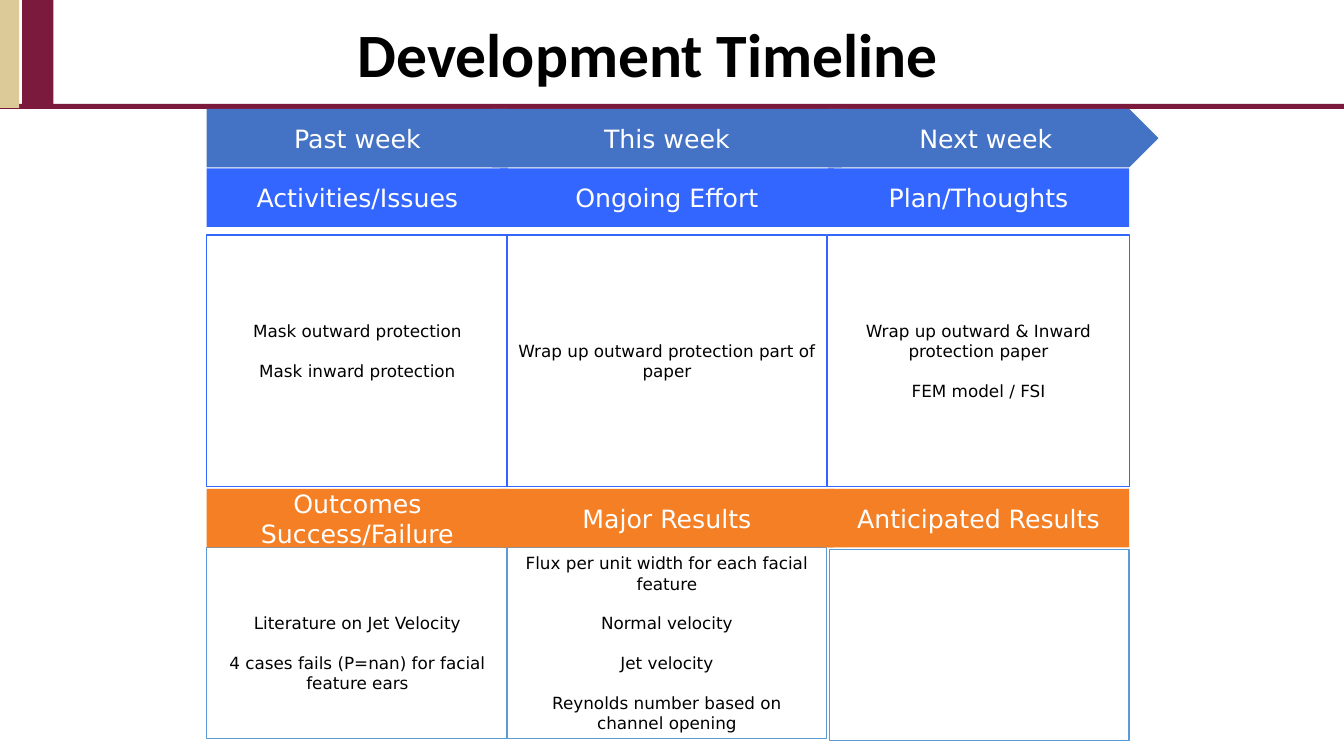
from pptx import Presentation
from pptx.dml.color import RGBColor
from pptx.enum.shapes import MSO_SHAPE as Preset
from pptx.enum.text import MSO_ANCHOR as Anchor, MSO_AUTO_SIZE as AutoSize, PP_ALIGN as Align
from pptx.util import Inches, Pt

BLACK = RGBColor(0x00, 0x00, 0x00)
WHITE = RGBColor(0xFF, 0xFF, 0xFF)
GARNET = RGBColor(0x7B, 0x1A, 0x3D)
GOLD = RGBColor(0xDC, 0xCA, 0x98)
STEEL = RGBColor(0x44, 0x72, 0xC4)
ROYAL = RGBColor(0x33, 0x66, 0xFF)
SKY = RGBColor(0x5B, 0x9B, 0xD5)
ORANGE = RGBColor(0xF4, 0x7F, 0x24)

COLUMNS = ((2.05, 2.99), (5.03, 3.17), (8.21, 2.99))
ROWS = {"week": (1.08, 0.58), "effort": (1.67, 0.58), "work": (2.33, 2.5),
        "outcome": (4.85, 0.58), "result": (5.43, 1.9)}
DRAW_ORDER = (2, 0, 1)
BLANK_LINE = 14

TITLE_FONT = {"name": "Calibri", "size": Pt(44), "bold": True}
HEADER_FONT = {"name": "DejaVu Sans", "size": Pt(18), "bold": False}
BODY_FONT = {"name": "DejaVu Sans", "size": Pt(12), "bold": False}


def set_formats(target, formats):
    """Set every attribute named in the format values."""
    for attribute, value in formats.items():
        setattr(target, attribute, value)


class TimelineSlide:
    """Holds the slide and the style of its timeline grid."""

    def __init__(self, deck):
        """Add a title-only slide to the deck."""
        self.slide = deck.slides.add_slide(deck.slide_layouts[5])

    def fill_text(self, shape, lines, font, color, gap=0, **frame_formats):
        """Fill a shape with centred paragraphs."""
        frame = shape.text_frame
        set_formats(frame, {"word_wrap": True, "auto_size": AutoSize.NONE,
                            "vertical_anchor": Anchor.MIDDLE, **frame_formats})
        for index, line in enumerate(lines):
            paragraph = frame.add_paragraph() if index else frame.paragraphs[0]
            paragraph.text = line
            paragraph.alignment = Align.CENTER
            if index and gap:
                paragraph.space_before = Pt(gap)
            set_formats(paragraph.font, font)
            paragraph.font.color.rgb = color

    def title(self, text, left, top, width, height):
        """Place and format the title placeholder."""
        heading = self.slide.shapes.title
        set_formats(heading, {"left": Inches(left), "top": Inches(top),
                              "width": Inches(width), "height": Inches(height)})
        self.fill_text(heading, [text], TITLE_FONT, BLACK)
        heading.text_frame.paragraphs[0].line_spacing = 0.9

    def block(self, left, top, width, height, fill, line=None, preset=Preset.RECTANGLE):
        """Draw a filled preset shape."""
        shape = self.slide.shapes.add_shape(
            preset, Inches(left), Inches(top), Inches(width), Inches(height))
        shape.shadow.inherit = False
        shape.fill.solid()
        shape.fill.fore_color.rgb = fill
        if line is None:
            shape.line.fill.background()
        else:
            shape.line.color.rgb = line
            shape.line.width = Pt(1)
        return shape

    def header_row(self, row, headings, fill, spread, arrow_tip=0):
        """Draw a band of headings whose middle one overlaps its neighbours."""
        top, height = ROWS[row]
        for column in DRAW_ORDER:
            left, width = COLUMNS[column]
            preset = Preset.RECTANGLE
            if column == 1:
                left, width = left - spread, width + 2 * spread
            elif column == 2 and arrow_tip:
                width, preset = width + arrow_tip, Preset.PENTAGON
            band = self.block(left, top, width, height, fill, preset=preset)
            self.fill_text(band, headings[column], HEADER_FONT, WHITE)

    def note_row(self, row, notes, line, last_shift=0):
        """Draw outlined boxes, each with its notes and text insets."""
        top, height = ROWS[row]
        for column, (texts, insets) in enumerate(notes):
            left, width = COLUMNS[column]
            shift = last_shift if column == 2 else 0
            box = self.block(left + shift, top + shift, width - shift, height, WHITE, line)
            if texts:
                self.fill_text(box, texts, BODY_FONT, BLACK, BLANK_LINE, **insets)


def main():
    """Build the development timeline."""
    deck = Presentation()
    set_formats(deck, {"slide_width": Inches(13.33), "slide_height": Inches(7.5)})
    timeline = TimelineSlide(deck)

    timeline.block(0, 1.03, 13.33, 0.05, GARNET)
    timeline.block(0, 0, 0.19, 1.07, GOLD)
    timeline.block(0.22, 0, 0.31, 1.07, GARNET)
    timeline.title("Development Timeline", 2.23, 0.23, 8.4, 0.69)

    timeline.header_row("week", (["Past week"], ["This week"], ["Next week"]),
                        STEEL, 0.15, arrow_tip=0.29)
    timeline.header_row("effort", (["Activities/Issues"], ["Ongoing Effort"],
                                   ["Plan/Thoughts"]), ROYAL, 0.07)
    timeline.note_row("work", (
        (["Mask outward protection", "Mask inward protection"],
         {"margin_bottom": Inches(0.25)}),
        (["Wrap up outward protection part of paper"], {}),
        (["Wrap up outward & Inward protection paper", "FEM model / FSI"], {}),
    ), ROYAL)
    timeline.note_row("result", (
        (["Literature on Jet Velocity", "4 cases fails (P=nan) for facial feature ears"],
         {"margin_top": Inches(0.25)}),
        (["Flux per unit width for each facial feature", "Normal velocity",
          "Jet velocity", "Reynolds number based on channel opening"], {}),
        ([], {}),
    ), SKY, last_shift=0.02)
    timeline.header_row("outcome", (["Outcomes", "Success/Failure"], ["Major Results"],
                                    ["Anticipated Results"]), ORANGE, 0.07)
    deck.save("out.pptx")


if __name__ == "__main__":
    main()
